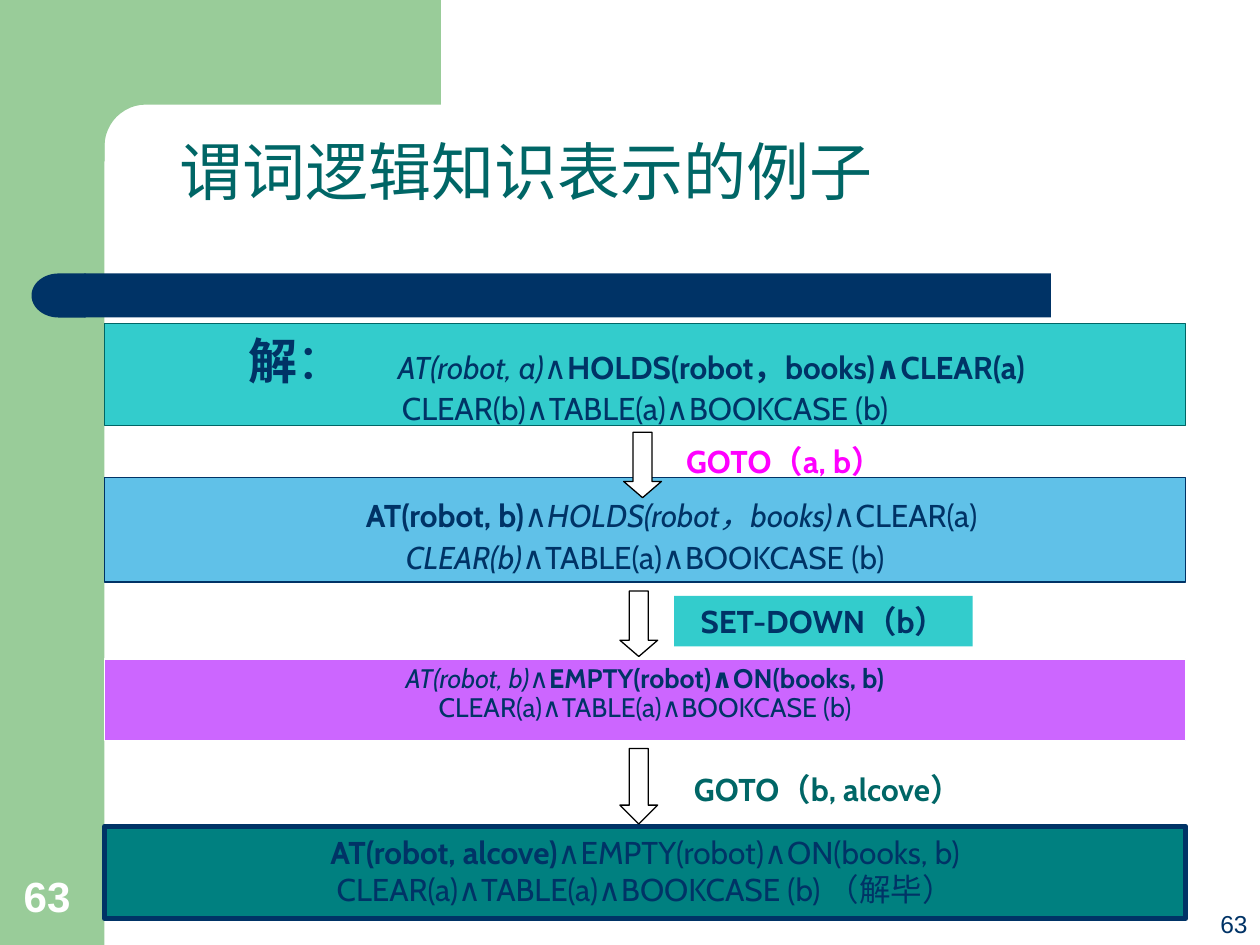
import pptx
import math
import lxml.etree
import pptx.util
import pptx.dml.color
import pptx.enum.shapes
import pptx.enum.text
import pptx.oxml.ns

Inches = pptx.util.Inches
Pt = pptx.util.Pt
RGBColor = pptx.dml.color.RGBColor
SHAPE = pptx.enum.shapes.MSO_SHAPE
ALIGN = pptx.enum.text.PP_ALIGN
ANCHOR = pptx.enum.text.MSO_ANCHOR
qn = pptx.oxml.ns.qn

GREEN = RGBColor(0x99, 0xCC, 0x99)
NAVY = RGBColor(0x00, 0x33, 0x66)
DARK_TEAL = RGBColor(0x00, 0x66, 0x66)
TURQUOISE = RGBColor(0x33, 0xCC, 0xCC)
SKY = RGBColor(0x60, 0xC1, 0xE8)
VIOLET = RGBColor(0xCC, 0x66, 0xFF)
TEAL = RGBColor(0x00, 0x80, 0x80)
MAGENTA = RGBColor(0xFF, 0x00, 0xFF)
WHITE = RGBColor(0xFF, 0xFF, 0xFF)
BLACK = RGBColor(0x00, 0x00, 0x00)


def paint(shape, fill, line=None, width=0.75):
    shape.shadow.inherit = False
    shape.fill.solid()
    shape.fill.fore_color.rgb = fill
    if line is None:
        shape.line.fill.background()
    else:
        shape.line.color.rgb = line
        shape.line.width = Pt(width)


def add_runs(paragraph, runs, size, color, font="Cabin", align=ALIGN.CENTER):
    """Each run is (text, style[, font, size]); style holds b and i flags."""
    paragraph.alignment = align
    for text, style, *special in runs:
        run = paragraph.add_run()
        run.text = text
        run.font.name, run_size = special or (font, size)
        run.font.size = Pt(run_size)
        run.font.bold = "b" in style
        run.font.italic = "i" in style
        run.font.color.rgb = color


presentation = pptx.Presentation()
presentation.slide_width = Inches(10)
presentation.slide_height = Inches(7.5)
slide = presentation.slides.add_slide(presentation.slide_layouts[6])
shapes = slide.shapes

# Green side band and its rounded corner
side_band = shapes.add_shape(SHAPE.RECTANGLE, 0, 0, Inches(0.83), Inches(7.5))
paint(side_band, GREEN)
corner_points = [(3.5, 0), (3.5, 0.83)]
for step in range(13):
    angle = math.pi / 2 * step / 12
    corner_points.append((1.16 - 0.33 * math.sin(angle), 1.16 - 0.33 * math.cos(angle)))
corner_points += [(0.83, 1.28), (0.5, 1.28)]
builder = shapes.build_freeform(Inches(0.5), 0)
builder.add_line_segments([(Inches(x), Inches(y)) for x, y in corner_points], close=True)
paint(builder.convert_to_shape(), GREEN)

# Navy bar with a rounded left end
bar = shapes.add_shape(SHAPE.RECTANGLE, Inches(0.67), Inches(2.17), Inches(7.67), Inches(0.35))
paint(bar, NAVY)
bar_end = shapes.add_shape(SHAPE.FLOWCHART_DELAY, Inches(0.25), Inches(2.17), Inches(0.43), Inches(0.35))
bar_end.rotation = 180
paint(bar_end, NAVY)

# State boxes: top, height, fill, line, line width, size, top inset, two lines of runs
states = [
    (2.57, 0.81, TURQUOISE, DARK_TEAL, 0.75, 18, 0.05, [
        [("\t解", "b", "Times New Roman", 28), ("：", "", "Times New Roman", 28),
         ("\tAT(robot, a)", "i"), ("∧", ""), ("HOLDS(robot，books)∧CLEAR(a)", "b")],
        [("CLEAR(b)∧TABLE(a)∧BOOKCASE (b)", "")]]),
    (3.79, 0.83, SKY, NAVY, 0.75, 18, 0.15, [
        [("AT(robot, b)", "b"), ("∧", ""), ("HOLDS(robot，books)", "i"), ("∧CLEAR(a)", "")],
        [("CLEAR(b)", "i"), ("∧TABLE(a)∧BOOKCASE (b)", "")]]),
    (5.23, 0.65, VIOLET, WHITE, 0.75, 15.3, 0.05, [
        [("AT(robot, b)", "i"), ("∧", ""), ("EMPTY(robot)∧ON(books, b)", "b")],
        [("CLEAR(a)∧TABLE(a)∧BOOKCASE (b)", "")]]),
    (6.56, 0.73, TEAL, NAVY, 3, 18, 0.05, [
        [("AT(robot, alcove)", "b"), ("∧EMPTY(robot)∧ON(books, b)", "")],
        [("CLEAR(a)∧TABLE(a)∧BOOKCASE (b) （解毕）", "")]]),
]
state_frames = []
for top, height, fill, line, width, size, inset, lines in states:
    box = shapes.add_shape(SHAPE.RECTANGLE, Inches(0.83), Inches(top), Inches(8.58), Inches(height))
    paint(box, fill, line, width)
    frame = box.text_frame
    frame.vertical_anchor = ANCHOR.TOP
    frame.margin_top = Inches(inset)
    for paragraph, runs in zip((frame.paragraphs[0], frame.add_paragraph()), lines):
        add_runs(paragraph, runs, size, NAVY)
    state_frames.append(frame)

# First line of the solution sits on tab stops; the second box is shifted right
opening = state_frames[0].paragraphs[0]
opening.alignment = ALIGN.LEFT
tab_list = lxml.etree.SubElement(opening._p.get_or_add_pPr(), qn("a:tabLst"))
for position in (1.04, 2.23):
    lxml.etree.SubElement(tab_list, qn("a:tab"), pos=str(Inches(position)), algn="l")
state_frames[1].paragraphs[0]._p.get_or_add_pPr().set("marL", str(Inches(0.42)))
state_frames[1].paragraphs[1].space_before = Pt(2)
for paragraph in state_frames[2].paragraphs:
    paragraph.line_spacing = 0.9

# Arrows between the states
for left, top, height in [(4.95, 3.43, 0.52), (4.92, 4.69, 0.52), (4.92, 5.94, 0.6)]:
    arrow = shapes.add_shape(SHAPE.DOWN_ARROW, Inches(left), Inches(top), Inches(0.3), Inches(height))
    arrow.adjustments[1] = 0.5 if height == 0.6 else 0.43
    paint(arrow, WHITE, BLACK)

# Action labels beside the arrows
for text, left, top, width, color, fill in [
    ("GOTO（a, b）", 5.2, 3.46, 2.05, MAGENTA, None),
    ("SET-DOWN（b）", 5.35, 4.73, 2.37, NAVY, TURQUOISE),
    ("GOTO（b, alcove）", 5.22, 6.06, 2.7, DARK_TEAL, None),
]:
    label = shapes.add_textbox(Inches(left), Inches(top), Inches(width), Inches(0.4))
    if fill is not None:
        label.fill.solid()
        label.fill.fore_color.rgb = fill
    label.text_frame.word_wrap = False
    add_runs(label.text_frame.paragraphs[0], [(text, "b")], 18, color)

# Title and page numbers
for text, left, top, width, height, size, style, color, align, anchor in [
    ("谓词逻辑知识表示的例子", 1.33, 1, 7.33, 0.7, 36, "", DARK_TEAL, ALIGN.JUSTIFY, ANCHOR.TOP),
    ("63", 0.09, 6.83, 0.64, 0.53, 24.1, "b", WHITE, ALIGN.LEFT, ANCHOR.BOTTOM),
    ("63", 9.5, 7, 0.5, 0.5, 14, "", NAVY, ALIGN.RIGHT, ANCHOR.BOTTOM),
]:
    text_box = shapes.add_textbox(Inches(left), Inches(top), Inches(width), Inches(height))
    text_box.text_frame.word_wrap = True
    text_box.text_frame.vertical_anchor = anchor
    add_runs(text_box.text_frame.paragraphs[0], [(text, style)], size, color, "Arial", align)

presentation.save("out.pptx")
